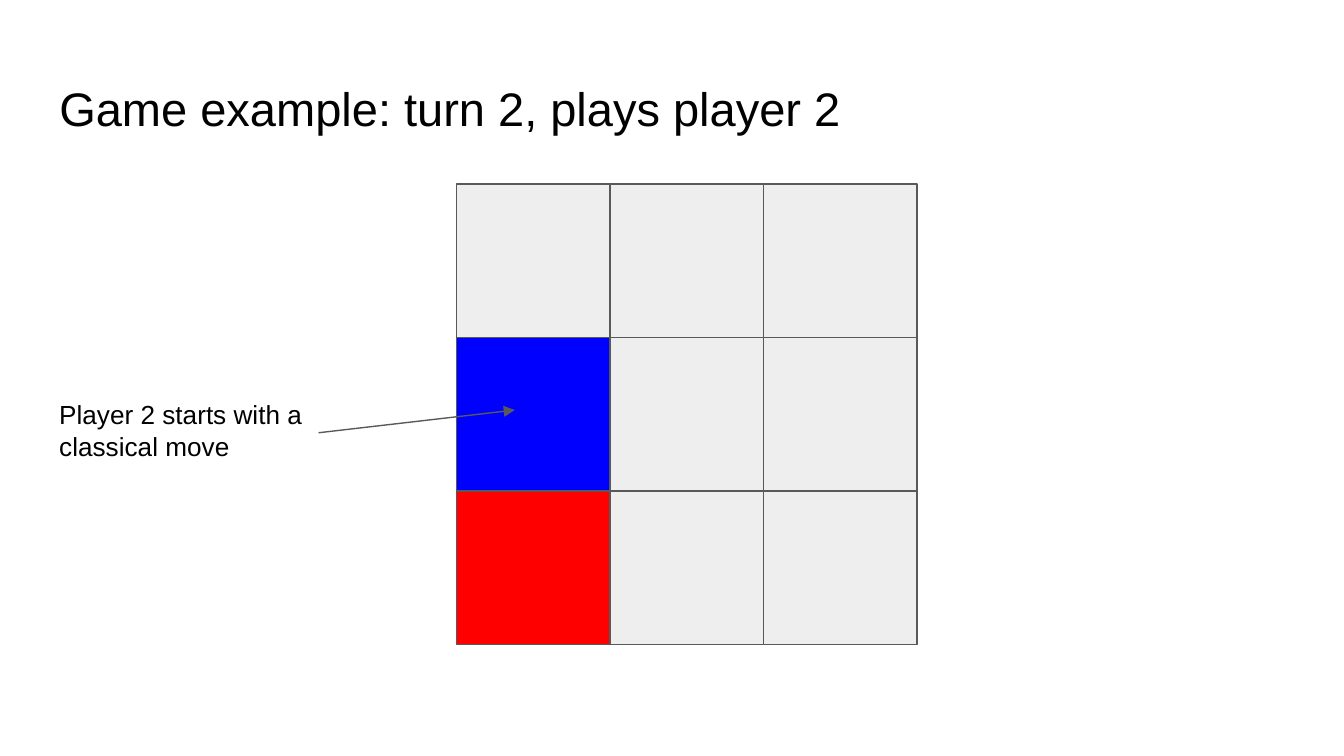
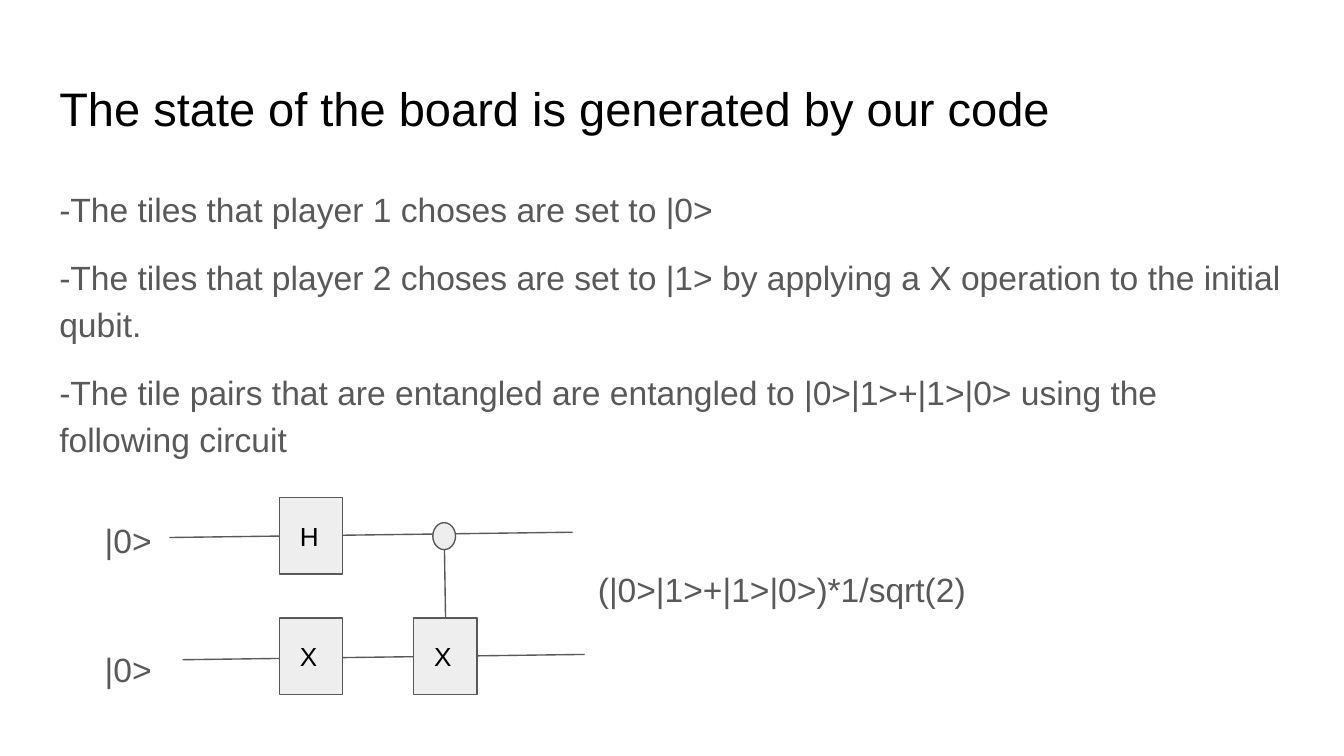
"""Builds two slides on a quantum board game: a sample turn and the circuit behind it."""
from dataclasses import dataclass

from lxml import etree
from pptx import Presentation
from pptx.dml.color import RGBColor
from pptx.enum.shapes import MSO_CONNECTOR, MSO_SHAPE
from pptx.enum.text import MSO_ANCHOR, MSO_AUTO_SIZE, PP_ALIGN
from pptx.oxml.ns import qn
from pptx.util import Cm, Pt

STRAIGHT = MSO_CONNECTOR.STRAIGHT
RECTANGLE, OVAL = MSO_SHAPE.RECTANGLE, MSO_SHAPE.OVAL
TOP, MIDDLE = MSO_ANCHOR.TOP, MSO_ANCHOR.MIDDLE
FIXED, GROW = MSO_AUTO_SIZE.NONE, MSO_AUTO_SIZE.SHAPE_TO_FIT_TEXT
LEFT = PP_ALIGN.LEFT
TITLE_ONLY, TITLE_AND_BODY = 5, 1
TOP_SIDE = 0


@dataclass(frozen=True)
class Theme:
    """Colours, type sizes and measures that all slides share."""
    font: str = "Arial"
    paper: RGBColor = RGBColor(0xFF, 0xFF, 0xFF)
    ink: RGBColor = RGBColor(0, 0, 0)
    grey: RGBColor = RGBColor(0x59, 0x59, 0x59)
    tile: RGBColor = RGBColor(0xEE, 0xEE, 0xEE)
    player_1: RGBColor = RGBColor(0xFF, 0, 0)
    player_2: RGBColor = RGBColor(0, 0, 0xFF)
    title_size: float = 25.2
    body_size: float = 18
    small_size: float = 14
    gap: float = 12
    leading: float = 1.15
    line_width: float = 0.75
    inset: float = 0.25
    margin: float = 0.87
    content_width: float = 23.67


class Deck:
    """Holds the theme and the current slide and draws each kind of element."""

    def __init__(self, theme):
        self.theme = theme
        self.presentation = Presentation()
        self.presentation.slide_width = Cm(25.4)
        self.presentation.slide_height = Cm(14.29)
        self.slide = None

    def start(self, layout, title):
        theme = self.theme
        self.slide = self.presentation.slides.add_slide(
            self.presentation.slide_layouts[layout])
        background = self.slide.background.fill
        background.solid()
        background.fore_color.rgb = theme.paper
        heading = self.slide.shapes.title
        self.place(heading, theme.margin, 1.25, theme.content_width, 1.6)
        self.set_text(heading, title, theme.title_size, theme.ink)

    def place(self, shape, left, top, width, height):
        shape.left, shape.top = Cm(left), Cm(top)
        shape.width, shape.height = Cm(width), Cm(height)

    def set_text(self, shape, text, size, color, anchor=TOP, fit=FIXED, leading=1.0):
        frame = shape.text_frame
        frame.text = text
        frame.word_wrap = True
        frame.auto_size = fit
        frame.vertical_anchor = anchor
        inset = Cm(self.theme.inset)
        frame.margin_left = frame.margin_right = inset
        frame.margin_top = frame.margin_bottom = inset
        for paragraph in frame.paragraphs:
            paragraph.alignment = LEFT
            paragraph.line_spacing = leading
            paragraph.space_before = paragraph.space_after = Pt(0)
            for run in paragraph.runs:
                run.font.name = self.theme.font
                run.font.size = Pt(size)
                run.font.color.rgb = color

    def body(self, statements, top, height):
        theme = self.theme
        body = self.slide.placeholders[1]
        self.place(body, theme.margin, top, theme.content_width, height)
        self.set_text(body, "\n".join(statements), theme.body_size, theme.grey,
                      leading=theme.leading)
        paragraphs = body.text_frame.paragraphs
        for paragraph in paragraphs:
            properties = paragraph._p.get_or_add_pPr()
            properties.set("marL", "0")
            properties.set("indent", "0")
            etree.SubElement(properties, qn("a:buNone"))
        for paragraph in paragraphs[1:]:
            paragraph.space_before = Pt(theme.gap)
        paragraphs[-1].space_after = Pt(theme.gap)

    def note(self, text, left, top, width, height):
        box = self.slide.shapes.add_textbox(Cm(left), Cm(top), Cm(width), Cm(height))
        self.set_text(box, text, self.theme.small_size, self.theme.ink, fit=GROW)

    def state(self, text, left, top):
        theme = self.theme
        box = self.slide.shapes.add_textbox(Cm(left), Cm(top), Cm(8.33), Cm(1.27))
        self.set_text(box, text, theme.body_size, theme.grey, fit=GROW,
                      leading=theme.leading)
        box.text_frame.paragraphs[0].space_after = Pt(theme.gap)

    def block(self, kind, left, top, width, height, fill, text=""):
        theme = self.theme
        block = self.slide.shapes.add_shape(
            kind, Cm(left), Cm(top), Cm(width), Cm(height))
        block.shadow.inherit = False
        block.fill.solid()
        block.fill.fore_color.rgb = fill
        block.line.color.rgb = theme.grey
        block.line.width = Pt(theme.line_width)
        if text:
            self.set_text(block, text, theme.small_size, theme.ink, anchor=MIDDLE)
        return block

    def line(self, start, end, arrow=False):
        line = self.slide.shapes.add_connector(
            STRAIGHT, *(Cm(length) for length in (*start, *end)))
        line.line.color.rgb = self.theme.grey
        line.line.width = Pt(self.theme.line_width)
        if arrow:
            etree.SubElement(line.line._get_or_add_ln(), qn("a:tailEnd"), type="triangle")
        etree.SubElement(line._element.spPr, qn("a:effectLst"))
        return line


def add_turn(deck):
    """Shows the board after the second turn."""
    theme = deck.theme
    deck.start(TITLE_ONLY, "Game example: turn 2, plays player 2")
    board_left, board_top, side = 8.63, 3.48, 2.9
    moves = {(2, 0): theme.player_1, (1, 0): theme.player_2}
    for row in range(3):
        for column in range(3):
            deck.block(RECTANGLE, board_left + column * side, board_top + row * side,
                       side, side, moves.get((row, column), theme.tile))
    deck.note("Player 2 starts with a classical move", theme.margin, 7.29, 6.6, 1.7)
    deck.line((6.02, 8.18), (9.73, 7.75), arrow=True)


def add_circuit(deck):
    """Explains how tiles are set and draws the entangling circuit."""
    theme = deck.theme
    deck.start(TITLE_AND_BODY, "The state of the board is generated by our code")
    deck.body([
        "-The tiles that player 1 choses are set to |0>",
        "-The tiles that player 2 choses are set to |1> by applying a X operation"
        " to the initial qubit.",
        "-The tile pairs that are entangled are entangled to |0>|1>+|1>|0> using"
        " the following circuit",
    ], 3.2, 9.5)

    deck.line((3.2, 10.16), (10.82, 10.06))
    deck.line((3.45, 12.47), (11.05, 12.37))

    first_column, second_column = 5.28, 7.82
    upper_row, lower_row = 9.4, 11.68
    gates = [
        deck.block(RECTANGLE, left, top, 1.2, 1.45, theme.tile, symbol)
        for left, top, symbol in (
            (first_column, upper_row, " H"),
            (first_column, lower_row, " X"),
            (second_column, lower_row, " X"),
        )
    ]
    deck.block(OVAL, 8.18, 9.88, 0.43, 0.51, theme.tile)
    control = deck.line((8.4, 10.39), (8.42, lower_row))
    control.end_connect(gates[-1], TOP_SIDE)

    for top in (9.47, 11.91):
        deck.state("|0>", 1.73, top)
    deck.state("(|0>|1>+|1>|0>)*1/sqrt(2)", 11.05, 10.39)


def main():
    """Builds the slides and saves them."""
    deck = Deck(Theme())
    add_turn(deck)
    add_circuit(deck)
    deck.presentation.save("out.pptx")


if __name__ == "__main__":
    main()
